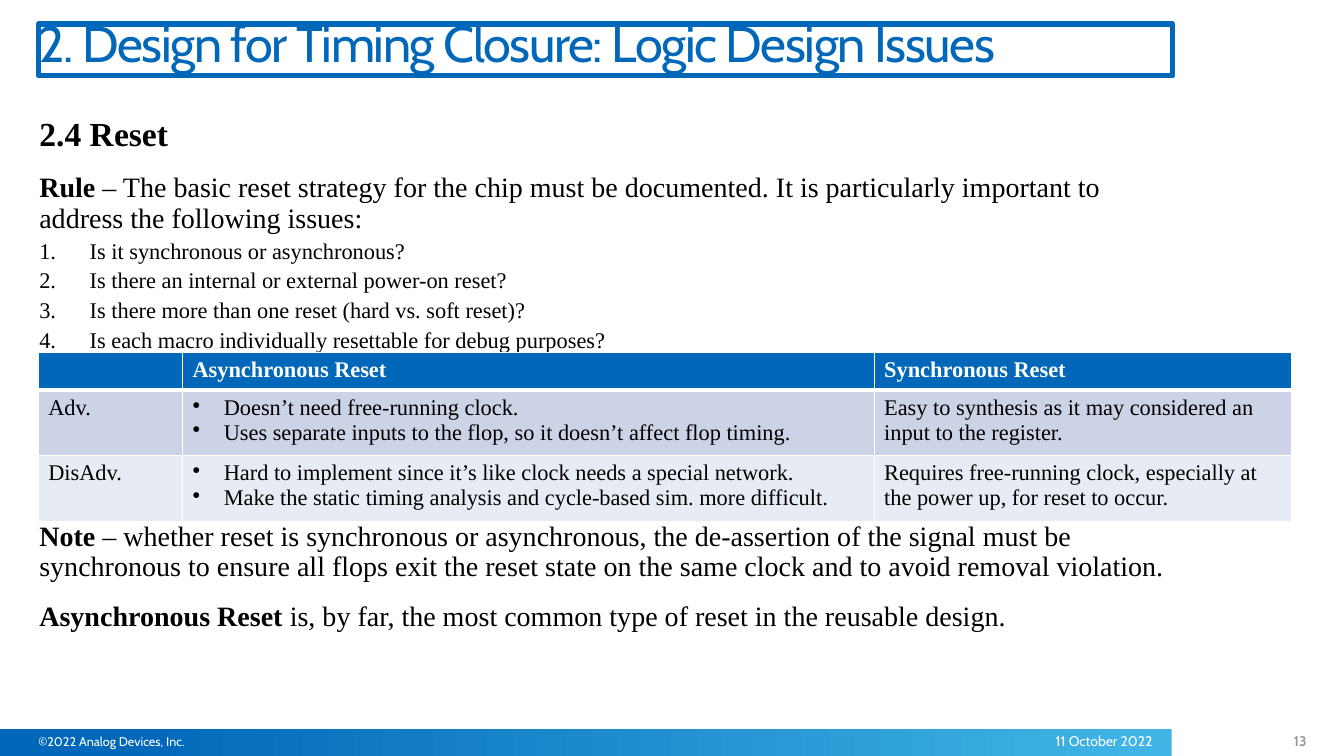
from dataclasses import dataclass

from pptx import Presentation
from pptx import util as u
from pptx.dml.color import RGBColor
from pptx.enum import shapes, text
from pptx.oxml.ns import qn
from lxml import etree


@dataclass(frozen=True)
class Theme:
    blue: str = "0067B9"
    sky: str = "41B6E6"
    white: str = "FFFFFF"
    black: str = "000000"
    gray: str = "98999D"
    bands: tuple = ("CCD3E6", "E7EBF3")
    sans: str = "Cabin"
    serif: str = "Times New Roman"
    title: int = 36
    heading: int = 24
    body: int = 20
    small: int = 16
    date: int = 10
    copyright: int = 9


THEME = Theme()
ISSUES = (
    "Is it synchronous or asynchronous?",
    "Is there an internal or external power-on reset?",
    "Is there more than one reset (hard vs. soft reset)?",
    "Is each macro individually resettable for debug purposes?",
)
COMPARISON = (
    ([""], ["Asynchronous Reset"], ["Synchronous Reset"]),
    (["Adv."],
     ["Doesn’t need free-running clock.",
      "Uses separate inputs to the flop, so it doesn’t affect flop timing."],
     ["Easy to synthesis as it may considered an input to the register."]),
    (["DisAdv."],
     ["Hard to implement since it’s like clock needs a special network.",
      "Make the static timing analysis and cycle-based sim. more difficult."],
     ["Requires free-running clock, especially at the power up, for reset to occur."]),
)


def inches(box):
    return [u.Inches(length) for length in box]


def apply(target, values):
    for name, value in values.items():
        setattr(target, name, value)


def format_frame(frame, margins=(0, 0, 0, 0), anchor=text.MSO_ANCHOR.TOP):
    left, top, right, bottom = inches(margins)
    apply(frame, {"margin_left": left, "margin_top": top, "margin_right": right,
                  "margin_bottom": bottom, "vertical_anchor": anchor,
                  "word_wrap": True, "auto_size": text.MSO_AUTO_SIZE.NONE})


def write(paragraph, runs, size, color, font, **spacing):
    """Add (text, bold) runs to a paragraph in one style."""
    apply(paragraph, spacing)
    for words, bold in runs:
        run = paragraph.add_run()
        run.text = words
        apply(run.font, {"size": u.Pt(size), "name": font, "bold": bold})
        run.font.color.rgb = RGBColor.from_string(color)


def add_bullet(paragraph, indent, tag, **attributes):
    properties = paragraph._p.get_or_add_pPr()
    properties.set("marL", str(u.Inches(indent)))
    properties.set("indent", str(-u.Inches(indent)))
    etree.SubElement(properties, qn("a:" + tag), attributes)


def next_paragraph(frame, index):
    return frame.paragraphs[0] if index == 0 else frame.add_paragraph()


def add_title(slide, box, words):
    title = slide.shapes.title
    apply(title, dict(zip(("left", "top", "width", "height"), inches(box))))
    title.line.color.rgb = RGBColor.from_string(THEME.blue)
    title.line.width = u.Pt(4)
    format_frame(title.text_frame, (0, 0, 0, 0.03))
    paragraph = title.text_frame.paragraphs[0]
    write(paragraph, [(words, False)], THEME.title, THEME.blue, THEME.sans,
          line_spacing=0.8, alignment=text.PP_ALIGN.LEFT)
    paragraph.runs[0].font._element.set("spc", "-100")


def add_prose(slide, box, paragraphs):
    """Place (runs, size, numbered) paragraphs in a text box."""
    frame = slide.shapes.add_textbox(*inches(box)).text_frame
    format_frame(frame)
    for index, (runs, size, numbered) in enumerate(paragraphs):
        paragraph = next_paragraph(frame, index)
        before = 0 if numbered or index == 0 else 10
        apply(paragraph, {"line_spacing": 0.9, "space_before": u.Pt(before),
                          "space_after": u.Pt(4)})
        if numbered:
            add_bullet(paragraph, 0.5, "buAutoNum", type="arabicPeriod")
        write(paragraph, runs, size, THEME.black, THEME.serif)


def add_borders(cell, bottom):
    properties = cell._tc.get_or_add_tcPr()
    for side, width in (("L", 1), ("R", 1), ("T", 1), ("B", bottom)):
        line = etree.SubElement(properties, qn("a:ln" + side), w=str(u.Pt(width)))
        fill = etree.SubElement(line, qn("a:solidFill"))
        etree.SubElement(fill, qn("a:srgbClr"), val=THEME.white)


def add_comparison(slide, box, column_widths, row_heights):
    table = slide.shapes.add_table(len(row_heights), len(column_widths), *inches(box)).table
    for column, width in zip(table.columns, column_widths):
        column.width = u.Inches(width)
    for row, height in zip(table.rows, row_heights):
        row.height = u.Inches(height)
    for row, contents in enumerate(COMPARISON):
        header = row == 0
        for column, lines in enumerate(contents):
            cell = table.cell(row, column)
            add_borders(cell, 3 if header else 1)
            cell.fill.solid()
            cell.fill.fore_color.rgb = RGBColor.from_string(
                THEME.blue if header else THEME.bands[row - 1])
            for index, words in enumerate(lines):
                paragraph = next_paragraph(cell.text_frame, index)
                if len(lines) > 1:
                    add_bullet(paragraph, 0.31, "buChar", char="•")
                if words:
                    write(paragraph, [(words, header)], THEME.small,
                          THEME.white if header else THEME.black, THEME.serif)
                else:
                    paragraph.font.size = u.Pt(THEME.small)


def add_footer(slide, box):
    left, top, width, height = box
    bar = slide.shapes.add_shape(shapes.MSO_SHAPE.RECTANGLE, *inches(box))
    bar.shadow.inherit = False
    bar.line.fill.background()
    bar.fill.gradient()
    bar.fill.gradient_angle = 180
    stops = ((0, THEME.sky), (0.9, THEME.blue))
    for stop, (position, color) in zip(bar.fill.gradient_stops, stops):
        stop.position = position
        stop.color.rgb = RGBColor.from_string(color)

    right = left + width
    align = text.PP_ALIGN
    labels = (
        ("©2022 Analog Devices, Inc.", (left + 0.38, 8.81), (0, 0.1, 0.1, 0.1),
         THEME.copyright, THEME.white, False, align.LEFT),
        ("11 October 2022", (right - 2.43, 2.44), (0, 0, 0.2, 0),
         THEME.date, THEME.white, False, align.RIGHT),
        ("13", (right + 0.01, 1.33), (0.1, 0.1, 0, 0.1),
         THEME.date, THEME.gray, True, align.RIGHT),
    )
    for words, (x, label_width), margins, size, color, bold, alignment in labels:
        label = slide.shapes.add_textbox(*inches((x, top + 0.01, label_width, height - 0.01)))
        format_frame(label.text_frame, margins, text.MSO_ANCHOR.MIDDLE)
        write(label.text_frame.paragraphs[0], [(words, bold)], size, color, THEME.sans,
              line_spacing=0.8, alignment=alignment)


def main():
    presentation = Presentation()
    presentation.slide_width, presentation.slide_height = inches((13.33, 7.5))
    slide = presentation.slides.add_slide(presentation.slide_layouts[5])

    add_footer(slide, (0, 7.23, 11.62, 0.27))
    add_title(slide, (0.38, 0.24, 11.25, 0.51),
              "2. Design for Timing Closure: Logic Design Issues")

    # Reset rule and the issues to settle
    rule = [("Rule ", True),
            ("– The basic reset strategy for the chip must be documented. It is "
             "particularly important to address the following issues:", False)]
    add_prose(slide, (0.39, 1.17, 11.24, 2.33),
              [([("2.4 Reset", True)], THEME.heading, False), (rule, THEME.body, False)]
              + [([(issue, False)], THEME.small, True) for issue in ISSUES])

    add_comparison(slide, (0.38, 3.5, 12.43, 1.62), (1.43, 6.86, 4.14), (0.32, 0.65, 0.65))

    # Closing notes
    note = [("Note", True),
            (" – whether reset is synchronous or asynchronous, the de-assertion of the "
             "signal must be synchronous to ensure all flops exit the reset state on the "
             "same clock and to avoid removal violation.", False)]
    advice = [("Asynchronous Reset ", True),
              ("is, by far, the most common type of reset in the reusable design.", False)]
    add_prose(slide, (0.39, 5.18, 11.24, 1.37),
              [(note, THEME.body, False), (advice, THEME.body, False)])

    presentation.save("out.pptx")


if __name__ == "__main__":
    main()
